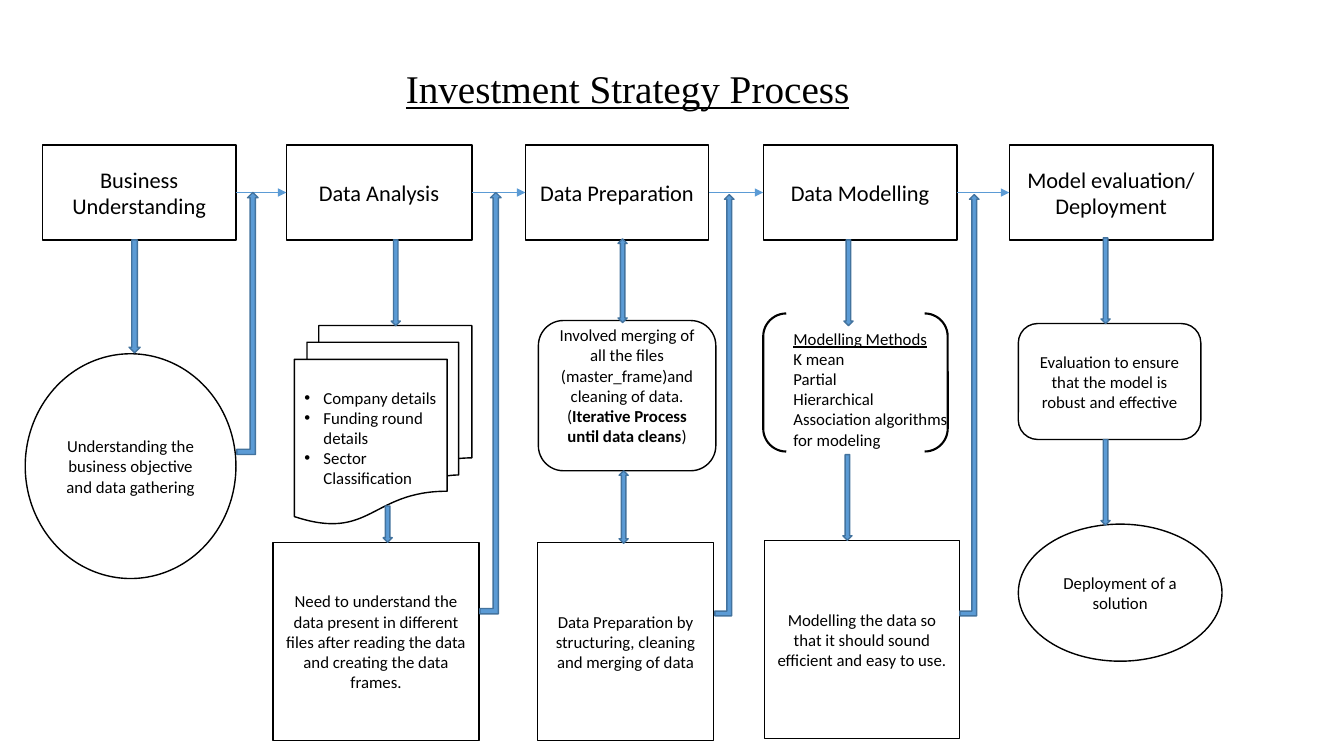
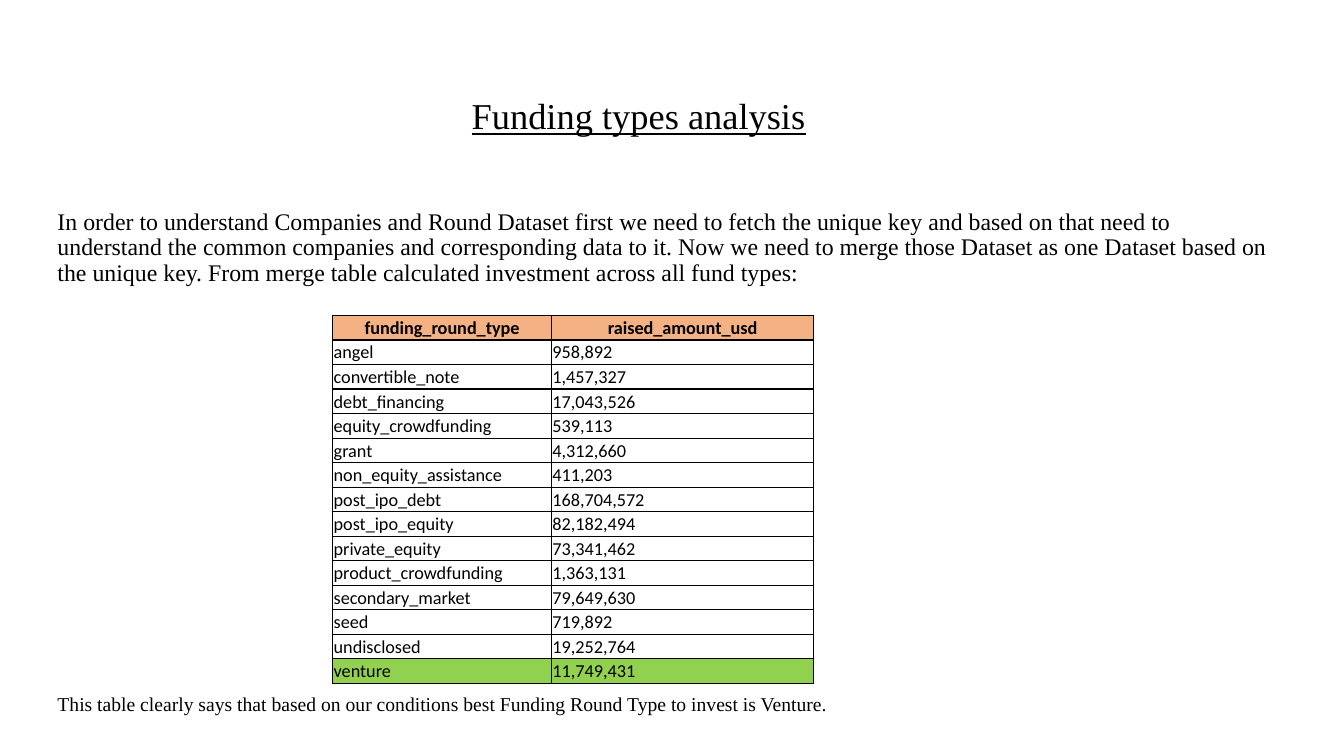
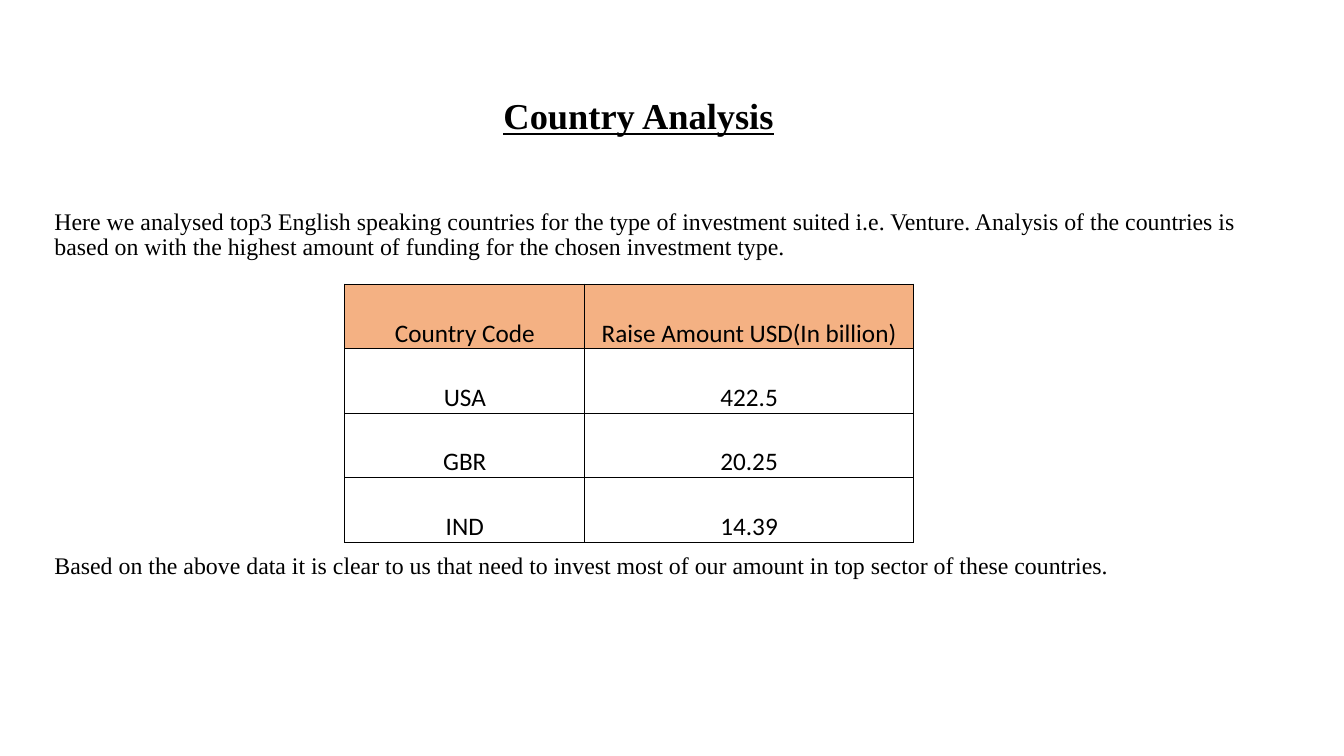
from dataclasses import dataclass
from itertools import pairwise
from typing import NamedTuple

from lxml.etree import SubElement
from pptx import Presentation
from pptx.dml.color import RGBColor
from pptx.enum.shapes import MSO_CONNECTOR, MSO_SHAPE
from pptx.enum.text import MSO_ANCHOR, MSO_AUTO_SIZE, PP_ALIGN
from pptx.oxml import parse_xml
from pptx.oxml.ns import nsdecls, qn
from pptx.util import Inches, Pt


# Theme
@dataclass(frozen=True)
class Theme:
    ink: str = "000000"
    paper: str = "FFFFFF"
    arrow: str = "5B9BD5"
    arrow_edge: str = "43739E"
    header: str = "F4B183"
    highlight: str = "92D050"
    serif: str = "Times New Roman"
    sans: str = "Calibri"
    flow_title: int = 28
    title: int = 26
    body: int = 17
    note: int = 14
    stage: int = 16
    detail: int = 12


THEME = Theme()


class Area(NamedTuple):
    left: float
    top: float
    width: float
    height: float

    def emu(self) -> tuple:
        return tuple(Inches(v) for v in self)


class Run(NamedTuple):
    text: str
    bold: bool = False
    underline: bool = False


class Stage(NamedTuple):
    left: float
    width: float
    text: str


class Box(NamedTuple):
    kind: MSO_SHAPE
    area: Area
    paragraphs: list
    bullets: bool = False
    bottom_inset: float = 0.05


class BlockArrow(NamedTuple):
    kind: MSO_SHAPE
    area: Area


class TableSpec(NamedTuple):
    area: Area
    widths: tuple
    rows: list
    size: int
    anchor: MSO_ANCHOR
    header_bold: bool = False
    centred: bool = False
    highlight_row: int | None = None


DETAIL_W = 1.76
SLIM = 0.09
TITLE_AREA = Area(1.24, 0.7, 10.19, 0.94)

STAGES = [
    Stage(0.42, 1.92, "Business Understanding"),
    Stage(2.84, 1.84, "Data Analysis"),
    Stage(5.21, 1.82, "Data Preparation"),
    Stage(7.57, 1.92, "Data Modelling"),
    Stage(10.01, 2.02, "Model evaluation/ Deployment"),
]
PLACEHOLDER_STAGE = 1

BOXES = [
    Box(MSO_SHAPE.FLOWCHART_MULTIDOCUMENT, Area(2.92, 3.23, DETAIL_W, 1.97),
        [[Run("Company details")], [Run("Funding round details")],
         [Run("Sector Classification")]], bullets=True),
    Box(MSO_SHAPE.RECTANGLE, Area(2.71, 5.38, 2.04, 1.97),
        [[Run("Need to understand the data present in different files after "
              "reading the data and creating the data frames.")]]),
    Box(MSO_SHAPE.RECTANGLE, Area(5.33, 5.38, 1.75, 1.97),
        [[Run("Data Preparation by structuring, cleaning and merging of data")]]),
    Box(MSO_SHAPE.RECTANGLE, Area(7.58, 5.36, 1.94, 1.97),
        [[Run("Modelling the data so that it should sound efficient and easy to use.")]]),
    Box(MSO_SHAPE.FLOWCHART_ALTERNATE_PROCESS, Area(5.34, 3.18, DETAIL_W, 1.49),
        [[Run("Involved merging of all the files (master_frame)and cleaning of data.")],
         [Run("("), Run("Iterative Process until data cleans", bold=True), Run(")")]],
        bottom_inset=0.25),
    Box(MSO_SHAPE.ROUNDED_RECTANGLE, Area(10.1, 3.21, 1.81, 1.15),
        [[Run("Evaluation to ensure that the model is robust and effective")]]),
    Box(MSO_SHAPE.OVAL, Area(10.1, 5.2, 2.02, 1.36), [[Run("Deployment of a solution")]]),
    Box(MSO_SHAPE.OVAL, Area(0.25, 3.51, 2.09, 2.23),
        [[Run("Understanding the business objective and data gathering")]]),
]

METHODS = [[Run("Modelling Methods", underline=True)], [Run("K mean")], [Run("Partial")],
           [Run("Hierarchical")], [Run("Association algorithms for modeling")]]

ARROWS = [
    BlockArrow(MSO_SHAPE.UP_DOWN_ARROW, Area(6.13, 2.37, SLIM, 0.83)),
    BlockArrow(MSO_SHAPE.UP_DOWN_ARROW, Area(6.14, 4.67, SLIM, 0.72)),
    BlockArrow(MSO_SHAPE.DOWN_ARROW, Area(1.28, 2.38, 0.11, 1.12)),
    BlockArrow(MSO_SHAPE.DOWN_ARROW, Area(3.88, 2.38, SLIM, 0.85)),
    BlockArrow(MSO_SHAPE.DOWN_ARROW, Area(3.8, 5.02, SLIM, 0.36)),
    BlockArrow(MSO_SHAPE.DOWN_ARROW, Area(8.37, 2.38, SLIM, 0.85)),
    BlockArrow(MSO_SHAPE.DOWN_ARROW, Area(8.36, 4.51, SLIM, 0.85)),
    BlockArrow(MSO_SHAPE.DOWN_ARROW, Area(10.92, 2.36, SLIM, 0.85)),
    BlockArrow(MSO_SHAPE.DOWN_ARROW, Area(10.92, 4.36, SLIM, 0.85)),
    BlockArrow(MSO_SHAPE.BENT_UP_ARROW, Area(2.35, 1.91, 0.21, 2.6)),
    BlockArrow(MSO_SHAPE.BENT_UP_ARROW, Area(4.76, 1.91, 0.21, 4.18)),
    BlockArrow(MSO_SHAPE.BENT_UP_ARROW, Area(7.09, 1.93, 0.19, 4.18)),
    BlockArrow(MSO_SHAPE.BENT_UP_ARROW, Area(9.52, 1.93, 0.19, 4.18)),
]

FUNDING = TableSpec(
    Area(3.3, 3.13, 4.77, 3.65), (2.17, 2.6),
    [("funding_round_type", "raised_amount_usd"),
     ("angel", "958,892"),
     ("convertible_note", "1,457,327"),
     ("debt_financing", "17,043,526"),
     ("equity_crowdfunding", "539,113"),
     ("grant", "4,312,660"),
     ("non_equity_assistance", "411,203"),
     ("post_ipo_debt", "168,704,572"),
     ("post_ipo_equity", "82,182,494"),
     ("private_equity", "73,341,462"),
     ("product_crowdfunding", "1,363,131"),
     ("secondary_market", "79,649,630"),
     ("seed", "719,892"),
     ("undisclosed", "19,252,764"),
     ("venture", "11,749,431")],
    13, MSO_ANCHOR.MIDDLE, header_bold=True, highlight_row=14)

COUNTRIES = TableSpec(
    Area(3.42, 2.82, 5.64, 2.56), (2.38, 3.26),
    [("Country Code", "Raise Amount USD(In billion)"),
     ("USA", "422.5"), ("GBR", "20.25"), ("IND", "14.39")],
    18, MSO_ANCHOR.BOTTOM, centred=True)


# Text and shape helpers
def rgb(value: str) -> RGBColor:
    return RGBColor.from_string(value)


def add_run(p, run: Run, size: int, font: str) -> None:
    r = p.add_run()
    r.text = run.text
    r.font.name, r.font.size = font, Pt(size)
    r.font.bold, r.font.underline = run.bold, run.underline
    r.font.color.rgb = rgb(THEME.ink)


def set_marker(p, bullet: bool) -> None:
    """Give a paragraph a hanging bullet, or clear an inherited one."""
    pPr = p._p.get_or_add_pPr()
    indent = Inches(0.19) if bullet else 0
    pPr.set("marL", str(indent))
    pPr.set("indent", str(-indent))
    if bullet:
        SubElement(pPr, qn("a:buFont")).set("typeface", "Arial")
        SubElement(pPr, qn("a:buChar")).set("char", "•")
    else:
        SubElement(pPr, qn("a:buNone"))


def write(tf, paragraphs: list, size: int, align: PP_ALIGN = PP_ALIGN.LEFT,
          bullets: bool = False) -> None:
    tf.word_wrap = True
    tf.auto_size = MSO_AUTO_SIZE.NONE
    for i, runs in enumerate(paragraphs):
        p = tf.add_paragraph() if i else tf.paragraphs[0]
        p.alignment, p.space_before = align, Pt(0)
        set_marker(p, bullets)
        for run in runs:
            add_run(p, run, size, THEME.sans)


def paint(sp, fill: str | None, line: str, width: float = 1) -> None:
    sp.shadow.inherit = False
    if fill:
        sp.fill.solid()
        sp.fill.fore_color.rgb = rgb(fill)
    else:
        sp.fill.background()
    sp.line.color.rgb = rgb(line)
    sp.line.width = Pt(width)


def place(sp, area: Area) -> None:
    sp.left, sp.top, sp.width, sp.height = area.emu()


# Shared slide parts
def add_slide(prs, title: Run, area: Area = TITLE_AREA, size: int = THEME.title):
    s = prs.slides.add_slide(prs.slide_layouts[1])
    place(s.shapes.title, area)
    tf = s.shapes.title.text_frame
    tf.auto_size, tf.vertical_anchor = MSO_AUTO_SIZE.NONE, MSO_ANCHOR.MIDDLE
    p = tf.paragraphs[0]
    p.alignment, p.line_spacing = PP_ALIGN.CENTER, 0.9
    add_run(p, title, size, THEME.serif)
    return s


def fill_body(s, area: Area, intro: str, closing: str, gap: float, closing_size: int) -> None:
    """Write an intro and a closing line, leaving a gap for the table."""
    body = s.placeholders[1]
    place(body, area)
    tf = body.text_frame
    tf.word_wrap, tf.auto_size = True, MSO_AUTO_SIZE.NONE
    lines = [(intro, THEME.body, 0), (closing, closing_size, gap)]
    for i, (text, size, before) in enumerate(lines):
        p = tf.add_paragraph() if i else tf.paragraphs[0]
        p.line_spacing, p.space_before = 0.9, Pt(before)
        set_marker(p, False)
        add_run(p, Run(text), size, THEME.serif)


def add_borders(cell) -> None:
    tcPr = cell._tc.get_or_add_tcPr()
    for i, side in enumerate("LRTB"):
        tcPr.insert(i, parse_xml(
            f'<a:ln{side} {nsdecls("a")} w="{Pt(1)}"><a:solidFill>'
            f'<a:srgbClr val="{THEME.ink}"/></a:solidFill></a:ln{side}>'))


def add_data_table(s, spec: TableSpec) -> None:
    table = s.shapes.add_table(len(spec.rows), len(spec.widths), *spec.area.emu()).table
    table.first_row = table.horz_banding = False
    for column, width in zip(table.columns, spec.widths):
        column.width = Inches(width)
    fills = {0: THEME.header, spec.highlight_row: THEME.highlight}
    for i, row in enumerate(spec.rows):
        for j, text in enumerate(row):
            cell = table.cell(i, j)
            cell.margin_left = cell.margin_right = cell.margin_top = Inches(0.01)
            cell.margin_bottom = 0
            cell.vertical_anchor = spec.anchor
            cell.fill.solid()
            cell.fill.fore_color.rgb = rgb(fills.get(i, THEME.paper))
            add_borders(cell)
            p = cell.text_frame.paragraphs[0]
            p.alignment = PP_ALIGN.CENTER if spec.centred or i == 0 else PP_ALIGN.LEFT
            add_run(p, Run(text, bold=spec.header_bold and i == 0), spec.size, THEME.sans)


# Process flow parts
def add_stage(s, stage: Stage, in_placeholder: bool):
    area = Area(stage.left, 1.44, stage.width, 0.94)
    if in_placeholder:
        sp = s.placeholders[1]
        place(sp, area)
    else:
        sp = s.shapes.add_shape(MSO_SHAPE.RECTANGLE, *area.emu())
    paint(sp, THEME.paper, THEME.ink)
    sp.text_frame.vertical_anchor = MSO_ANCHOR.MIDDLE
    write(sp.text_frame, [[Run(stage.text)]], THEME.stage, PP_ALIGN.CENTER)
    return sp


def join(s, source, target) -> None:
    cxn = s.shapes.add_connector(MSO_CONNECTOR.STRAIGHT, 0, 0, 0, 0)
    cxn.begin_connect(source, 3)
    cxn.end_connect(target, 1)
    cxn.line.color.rgb = rgb(THEME.arrow)
    cxn.line.width = Pt(0.5)
    SubElement(cxn.line._get_or_add_ln(), qn("a:tailEnd")).set("type", "triangle")
    SubElement(cxn._element.spPr, qn("a:effectLst"))


def add_box(s, box: Box) -> None:
    sp = s.shapes.add_shape(box.kind, *box.area.emu())
    paint(sp, THEME.paper, THEME.ink)
    tf = sp.text_frame
    tf.vertical_anchor, tf.margin_bottom = MSO_ANCHOR.MIDDLE, Inches(box.bottom_inset)
    align = PP_ALIGN.LEFT if box.bullets else PP_ALIGN.CENTER
    write(tf, box.paragraphs, THEME.detail, align, box.bullets)


def add_block_arrow(s, arrow: BlockArrow) -> None:
    sp = s.shapes.add_shape(arrow.kind, *arrow.area.emu())
    paint(sp, THEME.arrow, THEME.arrow_edge)


# Slides
def build_process(prs) -> None:
    s = add_slide(prs, Run("Investment Strategy Process", underline=True),
                  Area(1.13, 0.49, 10.19, 0.83), THEME.flow_title)
    stages = [add_stage(s, stage, i == PLACEHOLDER_STAGE) for i, stage in enumerate(STAGES)]
    for source, target in pairwise(stages):
        join(s, source, target)
    for box in BOXES:
        add_box(s, box)
    bracket = s.shapes.add_shape(MSO_SHAPE.DOUBLE_BRACKET, *Area(7.57, 3.11, 1.83, 1.37).emu())
    paint(bracket, None, THEME.ink, 1.5)
    methods = s.shapes.add_textbox(*Area(7.77, 3.21, 1.92, 1.31).emu())
    write(methods.text_frame, METHODS, THEME.detail)
    for arrow in ARROWS:
        add_block_arrow(s, arrow)


def build_funding(prs) -> None:
    s = add_slide(prs, Run("Funding types analysis", underline=True))
    fill_body(
        s, Area(0.47, 2.03, 12.21, 5.32),
        "In order to understand Companies and Round Dataset first we need to fetch the "
        "unique key and based on that need to understand the common companies and "
        "corresponding data to it. Now we need to merge those Dataset as one Dataset based "
        "on the unique key. From merge table calculated investment across all fund types:",
        "This table clearly says that based on our conditions best Funding Round Type to "
        "invest is Venture.", 291, THEME.note)
    add_data_table(s, FUNDING)


def build_countries(prs) -> None:
    s = add_slide(prs, Run("Country Analysis", bold=True, underline=True))
    fill_body(
        s, Area(0.44, 2.03, 12.21, 4.75),
        "Here we analysed top3 English speaking countries for the type of investment suited "
        "i.e. Venture. Analysis of the countries is based on with the highest amount of "
        "funding for the chosen investment type.",
        "Based on the above data it is clear to us that need to invest most of our amount in "
        "top sector of these countries.", 209, THEME.body)
    add_data_table(s, COUNTRIES)


def main() -> None:
    prs = Presentation()
    prs.slide_width, prs.slide_height = Inches(13.33), Inches(7.5)
    build_process(prs)
    build_funding(prs)
    build_countries(prs)
    prs.save("out.pptx")


if __name__ == "__main__":
    main()
